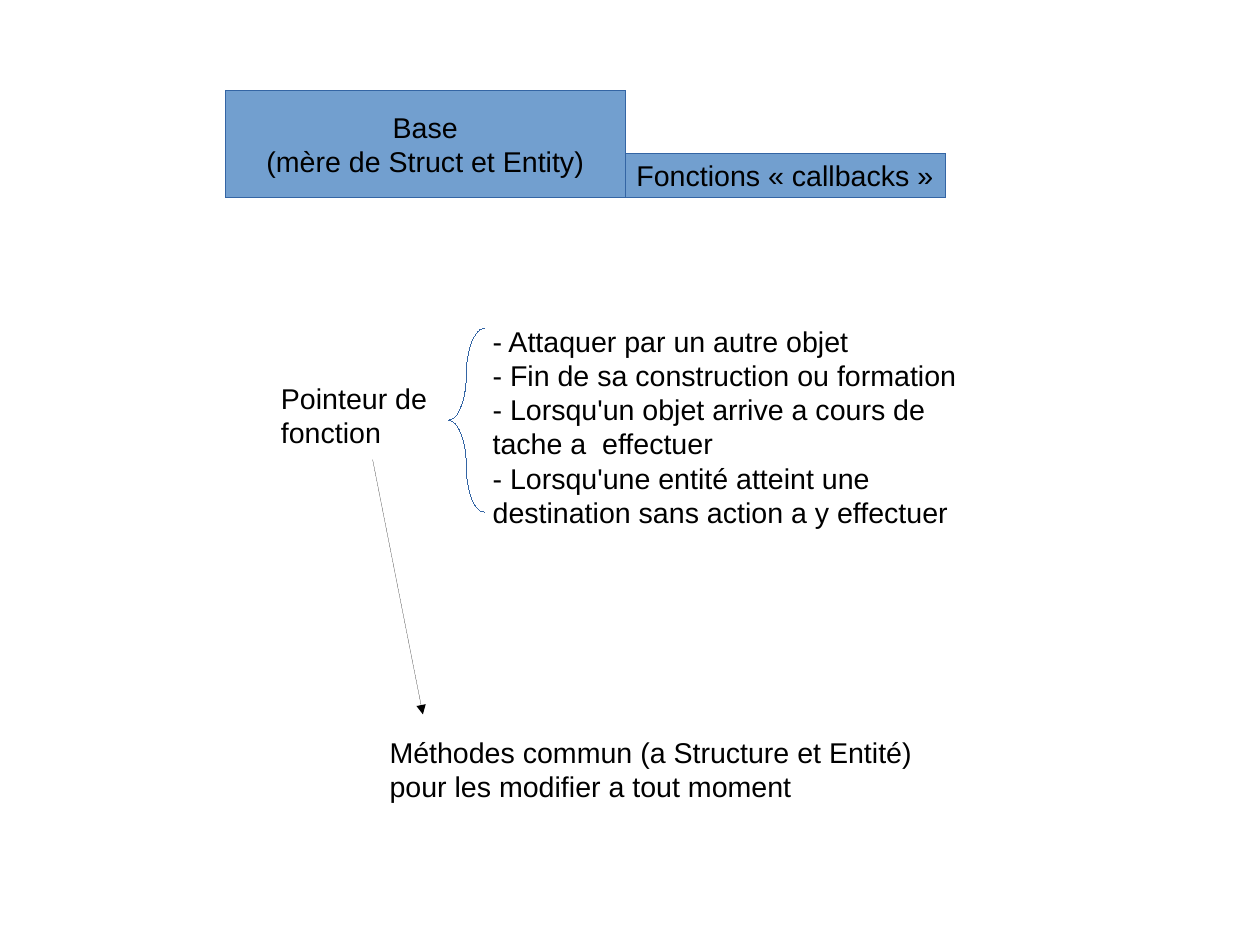
import dataclasses

import lxml.etree
import pptx
import pptx.dml.color
import pptx.enum.shapes
import pptx.enum.text
import pptx.oxml.ns
import pptx.util

Inches = pptx.util.Inches
Pt = pptx.util.Pt
qn = pptx.oxml.ns.qn
PP_ALIGN = pptx.enum.text.PP_ALIGN
ANCHOR = pptx.enum.text.MSO_ANCHOR
AUTO_SIZE = pptx.enum.text.MSO_AUTO_SIZE
SHAPE = pptx.enum.shapes.MSO_SHAPE

BLUE, BORDER, BLACK = "729FCF", "3465A4", "000000"
CM_PER_INCH = 2.54


@dataclasses.dataclass
class Box:
    left: float
    top: float
    width: float
    height: float

    def emu(self) -> tuple:
        return tuple(Inches(v) for v in dataclasses.astuple(self))


@dataclasses.dataclass
class Note:
    box: Box
    text: str


BASE = Box(1.97, 0.79, 3.5, 0.94)
CALLBACKS = Box(5.47, 1.34, 2.8, 0.39)
EVENTS = Box(4.21, 2.78, 4.53, 1.78)
BRACE = Box(3.92, 2.87, 0.32, 1.61)
NOTES = [
    Note(Box(2.36, 3.28, 1.66, 0.66), "Pointeur de fonction"),
    Note(Box(3.31, 6.38, 4.8, 0.94),
         "Méthodes commun (a Structure et Entité) pour les modifier a tout moment"),
]
EVENT_LINES = [
    "- Attaquer par un autre objet",
    "- Fin de sa construction ou formation",
    "- Lorsqu'un objet arrive a cours de tache a  effectuer",
    "- Lorsqu'une entité atteint une destination sans action a y effectuer",
]


def color(value: str):
    return pptx.dml.color.RGBColor.from_string(value)


def write(sp, text: str, align=PP_ALIGN.LEFT, anchor=ANCHOR.TOP,
          wrap: bool = True, auto_size=AUTO_SIZE.NONE) -> None:
    tf = sp.text_frame
    tf.text = text
    tf.word_wrap = wrap
    tf.auto_size = auto_size
    tf.vertical_anchor = anchor
    for p in tf.paragraphs:
        p.alignment = align
        p.space_before = p.space_after = Pt(0)
        for r in p.runs:
            r.font.name = "Arial"
            r.font.size = Pt(18)
            r.font.color.rgb = color(BLACK)


def place(sp, box: Box) -> None:
    sp.left, sp.top, sp.width, sp.height = box.emu()


def outline(sp, line_color: str) -> None:
    sp.line.color.rgb = color(line_color)
    sp._element.spPr.find(qn("a:ln")).set("w", "0")


def paint(sp) -> None:
    sp.fill.solid()
    sp.fill.fore_color.rgb = color(BLUE)
    outline(sp, BORDER)


def remove_bullets(sp) -> None:
    for p in sp.text_frame.paragraphs:
        pPr = p._p.get_or_add_pPr()
        pPr.set("marL", "0")
        pPr.set("indent", "0")
        lxml.etree.SubElement(pPr, qn("a:buNone"))


def add_arrow(slide, start: tuple, end: tuple) -> None:
    line = slide.shapes.add_connector(
        pptx.enum.shapes.MSO_CONNECTOR.STRAIGHT,
        *(Inches(v) for v in start + end))
    outline(line, BLACK)
    spPr = line._element.spPr
    lxml.etree.SubElement(spPr.find(qn("a:ln")), qn("a:tailEnd"), type="triangle")
    lxml.etree.SubElement(spPr, qn("a:effectLst"))


def main() -> None:
    prs = pptx.Presentation()
    prs.slide_width = Inches(28 / CM_PER_INCH)
    prs.slide_height = Inches(21 / CM_PER_INCH)
    prs.element.find(qn("p:sldSz")).attrib.pop("type", None)
    slide = prs.slides.add_slide(prs.slide_layouts[1])

    title = slide.shapes.title
    place(title, BASE)
    paint(title)
    write(title, "Base\n(mère de Struct et Entity)", align=PP_ALIGN.CENTER,
          anchor=ANCHOR.MIDDLE, wrap=False)

    body = slide.placeholders[1]
    place(body, EVENTS)
    write(body, "\n".join(EVENT_LINES))
    remove_bullets(body)

    brace = slide.shapes.add_shape(SHAPE.LEFT_BRACE, *BRACE.emu())
    brace.adjustments[0] = BRACE.height / BRACE.width / 4
    brace.shadow.inherit = False
    brace.fill.background()
    outline(brace, BORDER)

    for note in NOTES:
        sp = slide.shapes.add_textbox(*note.box.emu())
        write(sp, note.text, auto_size=AUTO_SIZE.SHAPE_TO_FIT_TEXT)

    add_arrow(slide, (3.26, 4.02), (3.7, 6.25))

    callbacks = slide.shapes.add_shape(SHAPE.RECTANGLE, *CALLBACKS.emu())
    callbacks.shadow.inherit = False
    paint(callbacks)
    write(callbacks, "Fonctions « callbacks »", anchor=ANCHOR.MIDDLE, wrap=False)

    prs.save("out.pptx")


if __name__ == "__main__":
    main()
